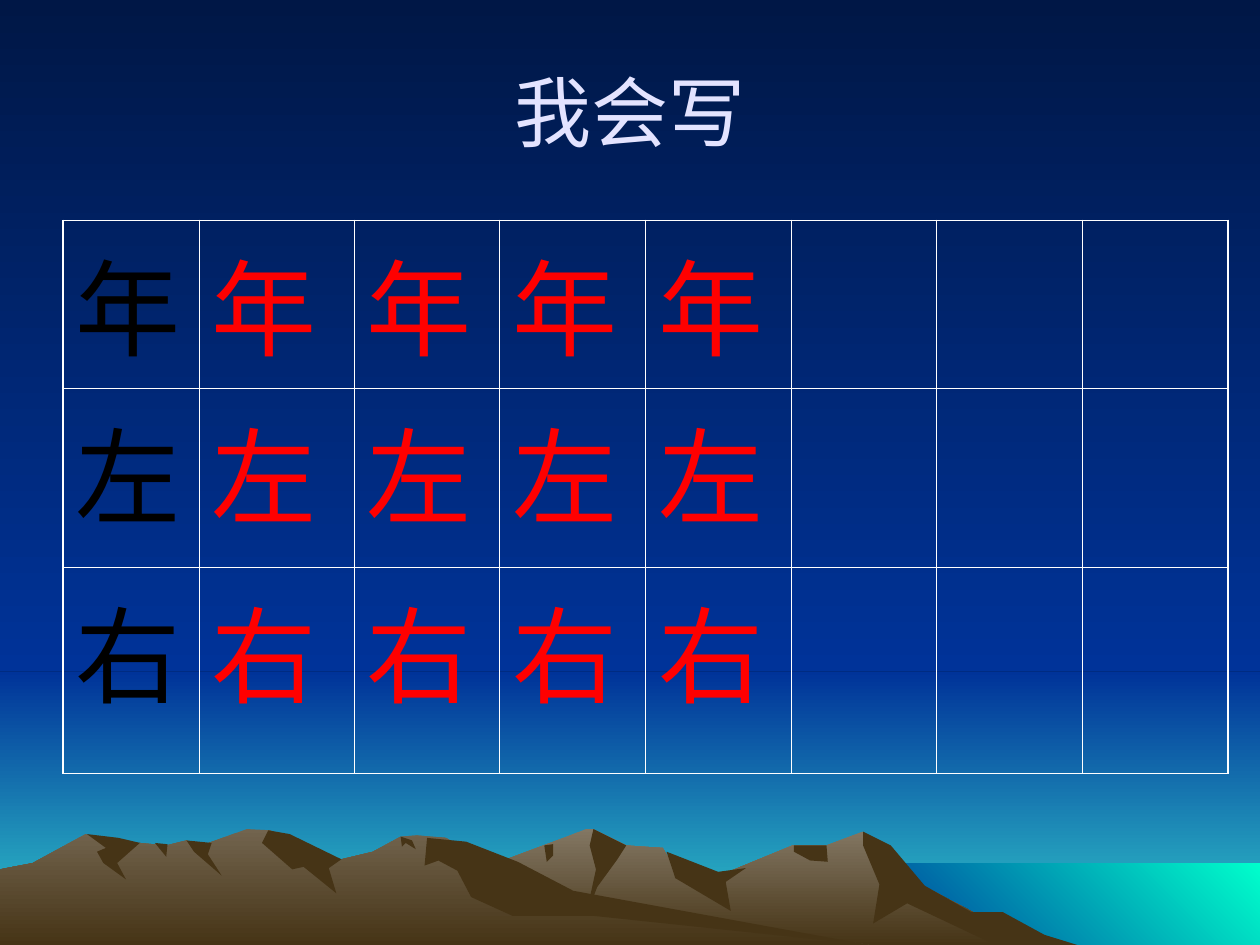
from lxml import etree
from pptx import Presentation
from pptx.dml.color import RGBColor
from pptx.enum.shapes import MSO_SHAPE as Shape
from pptx.enum.text import MSO_ANCHOR as Anchor, PP_ALIGN as Align
from pptx.oxml.ns import qn
from pptx.util import Inches, Pt

NIGHT = RGBColor(0x00, 0x17, 0x46)
BLUE = RGBColor(0x00, 0x33, 0x99)
TEAL = RGBColor(0x33, 0xCC, 0xCC)
AQUA = RGBColor(0x00, 0xFF, 0xCC)
STONE = RGBColor(0x83, 0x77, 0x63)
CLAY = RGBColor(0x72, 0x64, 0x4E)
BROWN = RGBColor(0x46, 0x34, 0x16)
LAVENDER = RGBColor(0xE3, 0xE3, 0xFF)
WHITE = RGBColor(0xFF, 0xFF, 0xFF)
BLACK = RGBColor(0x00, 0x00, 0x00)
RED = RGBColor(0xFF, 0x00, 0x00)


def write(frame, text, size, color, align=Align.LEFT, font="Arial"):
    para = frame.paragraphs[0]
    para.alignment = align
    span = para.add_run()
    span.text = text
    span.font.name = font
    span.font.size = Pt(size)
    span.font.color.rgb = color


def paint(shape, start, end, angle=270):
    shape.fill.gradient()
    shape.fill.gradient_angle = angle
    for stop, color in zip(shape.fill.gradient_stops, (start, end)):
        stop.color.rgb = color


deck = Presentation()
deck.slide_width, deck.slide_height = Inches(10), Inches(7.5)
page = deck.slides.add_slide(deck.slide_layouts[5])
paint(page.background, NIGHT, BLUE)

bands = [
    (0, 5.33, 7.5, BLUE, TEAL, 270),
    (0, 0, 5.33, NIGHT, BLUE, 270),
    (6.83, 6.85, 7.5, AQUA, BLUE, 225),
]
for left, top, bottom, start, end, angle in bands:
    band = page.shapes.add_shape(Shape.RECTANGLE, Inches(left), Inches(top),
                                 Inches(10 - left), Inches(bottom - top))
    band.shadow.inherit = False
    band.line.fill.background()
    paint(band, start, end, angle)

far_range = [
    (2.58, 7.5), (3.27, 7.09), (3.94, 6.85), (4.5, 6.64), (4.65, 6.58), (4.71, 6.58),
    (4.97, 6.71), (5.26, 6.73), (5.36, 6.9), (5.66, 6.97), (6.29, 6.71), (6.56, 6.71),
    (6.85, 6.6), (7.23, 6.98), (7.78, 7.27), (8.2, 7.5)]
far_shadows = [
    [(6.85, 6.6), (6.85, 6.71), (6.98, 7.02), (6.93, 7.33), (7.2, 7.17), (7.9, 7.5),
     (8.55, 7.5), (8.29, 7.42), (7.96, 7.24), (7.71, 7.24), (7.34, 7.03), (7.07, 6.71)],
    [(4.71, 6.58), (4.68, 6.71), (4.73, 6.9), (4.65, 7.27), (4.74, 7.04), (4.9, 6.82),
     (4.97, 6.71)],
    [(5.29, 6.76), (5.36, 6.97), (5.8, 7.23), (5.76, 7), (5.92, 6.89), (5.7, 6.92)],
    [(6.3, 6.71), (6.3, 6.76), (6.43, 6.83), (6.57, 6.84), (6.56, 6.71)],
    [(4.32, 6.71), (4.39, 6.7), (4.39, 6.79), (4.34, 6.84)],
]
near_range = [
    (0, 7.5), (0, 6.9), (0.26, 6.85), (0.68, 6.62), (0.94, 6.71), (1.11, 6.69),
    (1.32, 6.71), (1.48, 6.67), (1.6, 6.71), (1.96, 6.58), (2.15, 6.59), (2.36, 6.81),
    (2.71, 6.82), (2.96, 6.76), (3.18, 6.64), (3.31, 6.63), (3.54, 6.65), (4.32, 7.12),
    (6.9, 7.5)]
near_shadows = [
    [(2.13, 6.59), (2.08, 6.69), (2.32, 6.9), (2.41, 6.88), (2.67, 7.09), (2.61, 6.89),
     (2.71, 6.82), (2.3, 6.62)],
    [(3.39, 6.65), (3.37, 6.87), (3.48, 6.83), (3.63, 6.91), (3.74, 7.12), (4.07, 7.27),
     (4.72, 7.27), (6.9, 7.5), (4.55, 7.07), (4.11, 6.84), (3.7, 6.68)],
    [(3.18, 6.64), (3.27, 6.67), (3.3, 6.74), (3.22, 6.69), (3.19, 6.72)],
    [(1.48, 6.67), (1.68, 6.69), (1.65, 6.78), (1.76, 6.95), (1.54, 6.76)],
    [(1.23, 6.69), (1.33, 6.7), (1.32, 6.8)],
    [(0.69, 6.62), (0.94, 6.65), (1.11, 6.69), (0.93, 6.85), (1, 6.98), (0.82, 6.85),
     (0.77, 6.76), (0.84, 6.73)],
]
for light, ridge, shadows in ((STONE, far_range, far_shadows), (CLAY, near_range, near_shadows)):
    for points in [ridge] + shadows:
        corners = [(Inches(x), Inches(y)) for x, y in points]
        builder = page.shapes.build_freeform(*corners[0])
        builder.add_line_segments(corners[1:], close=True)
        slope = builder.convert_to_shape()
        slope.shadow.inherit = False
        slope.line.fill.background()
        if points is ridge:
            paint(slope, light, BROWN)
        else:
            slope.fill.solid()
            slope.fill.fore_color.rgb = BROWN

title = page.shapes.title
page.shapes.element.append(title.element)
title.left, title.top = Inches(0.5), Inches(0.25)
title.width, title.height = Inches(9), Inches(1.25)
title.text_frame.vertical_anchor = Anchor.MIDDLE
write(title.text_frame, "我会写", size=44, color=LAVENDER, align=Align.CENTER)

characters = "年左右"
filled_columns = 5
column_widths = [1.08, 1.23] + [(9.25 - 1.08 - 1.23) / 6] * 6
row_heights = [1.33, 1.42, 1.64]
last_row, last_column = len(row_heights) - 1, len(column_widths) - 1
grid = page.shapes.add_table(len(row_heights), len(column_widths), Inches(0.5), Inches(1.75),
                             Inches(sum(column_widths)), Inches(sum(row_heights))).table
grid.first_row = grid.horz_banding = False
for column, width in zip(grid.columns, column_widths):
    column.width = Inches(width)
for row, height in zip(grid.rows, row_heights):
    row.height = Inches(height)

for r, character in enumerate(characters):
    for c in range(len(column_widths)):
        cell = grid.cell(r, c)
        outer_sides = {"lnL": c == 0, "lnR": c == last_column, "lnT": r == 0, "lnB": r == last_row}
        properties = cell._tc.get_or_add_tcPr()
        for side, is_outer in outer_sides.items():
            border = etree.SubElement(properties, qn(f"a:{side}"),
                                      w=str(Pt(1.08 if is_outer else 0.45)))
            solid = etree.SubElement(border, qn("a:solidFill"))
            etree.SubElement(solid, qn("a:srgbClr"), val=str(WHITE))
        cell.fill.background()
        if c < filled_columns:
            write(cell.text_frame, character, size=60, color=RED if c else BLACK)

deck.save("out.pptx")
